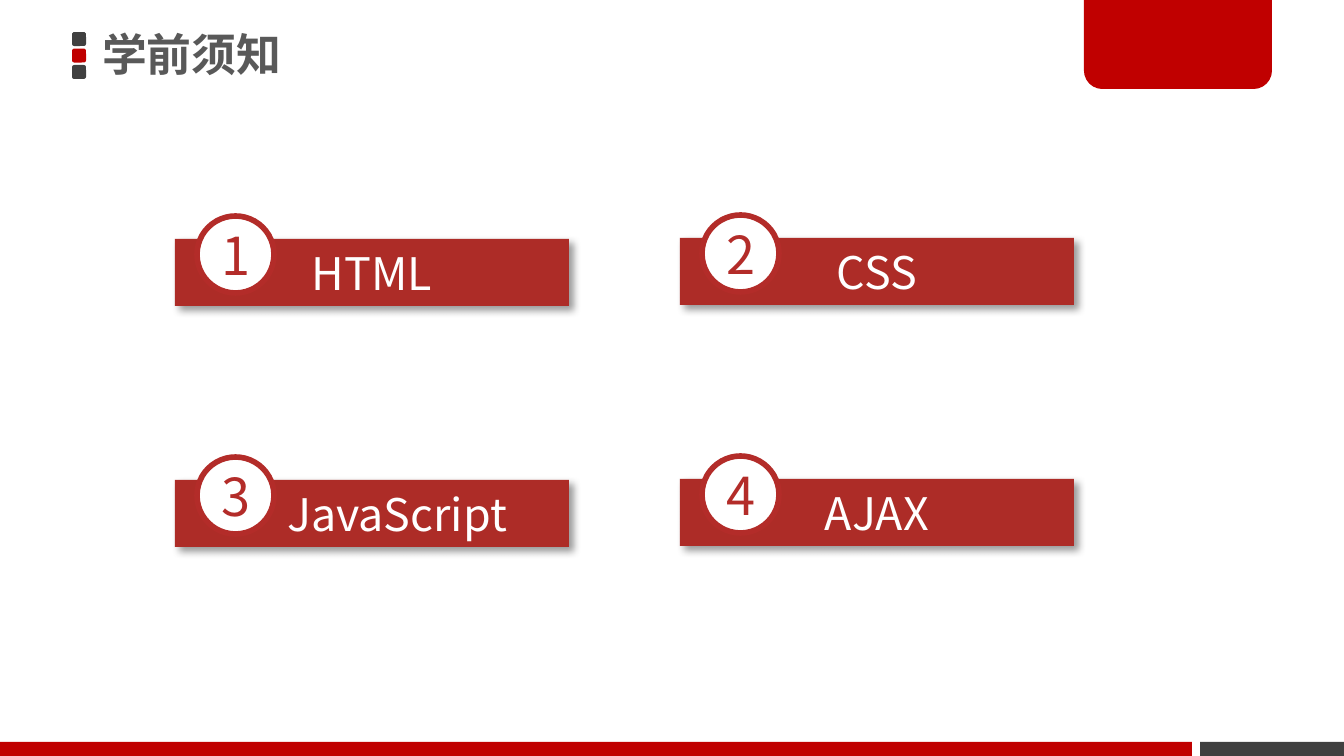
"""Build the "学前须知" slide with its four numbered prerequisite bars."""
from lxml.etree import SubElement
from pptx import Presentation
from pptx.dml.color import RGBColor
from pptx.enum.shapes import MSO_SHAPE
from pptx.enum.text import MSO_ANCHOR, MSO_AUTO_SIZE, PP_ALIGN
from pptx.oxml.ns import qn
from pptx.util import Pt

TITLE = "学前须知"
TOPICS = [
    {"label": "HTML", "indent": 0},
    {"label": "CSS", "indent": 0},
    {"label": "JavaScript", "indent": 50},
    {"label": "AJAX", "indent": 0},
]
FONT = "Noto Sans CJK SC"
COLORS = {
    "red": "C00000",
    "dark": "404040",
    "title": "595959",
    "bar": "AD2C27",
    "ring": "B32C29",
    "white": "FFFFFF",
    "shadow": "000000",
}
BOTTOM_BARS = [("dark", 1200, 144), ("red", 0, 1192)]
SQUARES = ["dark", "red", "dark"]
SCALE = 914400 / 134.4
COLUMNS = 2


def px(value):
    return round(value * SCALE)


def rgb(name):
    return RGBColor.from_string(COLORS[name])


def add_block(slide, kind, box, fill):
    shape = slide.shapes.add_shape(kind, *map(px, box))
    shape.shadow.inherit = False
    shape.fill.solid()
    shape.fill.fore_color.rgb = rgb(fill)
    shape.line.fill.background()
    return shape


def write(shape, text, size, color, align=PP_ALIGN.CENTER, bold=False):
    text_frame = shape.text_frame
    text_frame.text = text
    text_frame.word_wrap = True
    text_frame.vertical_anchor = MSO_ANCHOR.MIDDLE
    paragraph = text_frame.paragraphs[0]
    paragraph.alignment = align
    font = paragraph.runs[0].font
    font.name, font.size, font.bold = FONT, Pt(size), bold
    font.color.rgb = rgb(color)
    SubElement(font._element, qn("a:ea"), typeface=FONT)


def add_shadow(shape):
    effects = shape._element.spPr.find(qn("a:effectLst"))
    shadow = SubElement(effects, qn("a:outerShdw"), blurRad=str(Pt(4)), dist=str(Pt(3)),
                        dir="2700000", algn="tl", rotWithShape="0")
    color = SubElement(shadow, qn("a:srgbClr"), val=COLORS["shadow"])
    SubElement(color, qn("a:alpha"), val="40000")


def add_title(slide):
    title = slide.shapes.title
    title.left, title.top, title.width, title.height = map(px, (92, -3, 220, 120))
    write(title, TITLE, 24, "title", PP_ALIGN.LEFT, True)
    text_frame = title.text_frame
    text_frame.auto_size = MSO_AUTO_SIZE.NONE
    text_frame.margin_left = text_frame.margin_right = px(10)
    text_frame.margin_top = text_frame.margin_bottom = px(5)
    text_frame.paragraphs[0].line_spacing = 0.9


def add_frame(slide):
    for index, color in enumerate(SQUARES):
        add_block(slide, MSO_SHAPE.ROUNDED_RECTANGLE, (72, 32 + 16.5 * index, 14, 14), color)
    for color, left, width in BOTTOM_BARS:
        add_block(slide, MSO_SHAPE.RECTANGLE, (left, 742, width, 14), color)
    tab = add_block(slide, MSO_SHAPE.ROUND_2_SAME_RECTANGLE, (1084, -3, 188, 92), "red")
    tab.adjustments[0], tab.adjustments[1] = 0, 0.2


def add_topic(slide, index, topic):
    row, column = divmod(index, COLUMNS)
    left, top = 175 + 505 * column, 239 + 241 * row - column
    bar = add_block(slide, MSO_SHAPE.RECTANGLE, (left, top, 394, 67), "bar")
    add_shadow(bar)
    write(bar, topic["label"], 24, "white")
    bar.text_frame.margin_left += px(topic["indent"])
    circle = add_block(slide, MSO_SHAPE.OVAL, (left + 22, top - 23, 77, 77), "white")
    circle.line.color.rgb = rgb("ring")
    circle.line.width = Pt(3)
    write(circle, str(index + 1), 28, "ring")


def main():
    presentation = Presentation()
    presentation.slide_width, presentation.slide_height = px(1344), px(756)
    slide = presentation.slides.add_slide(presentation.slide_layouts[5])
    add_title(slide)
    add_frame(slide)
    for index, topic in enumerate(TOPICS):
        add_topic(slide, index, topic)
    presentation.save("out.pptx")


if __name__ == "__main__":
    main()
